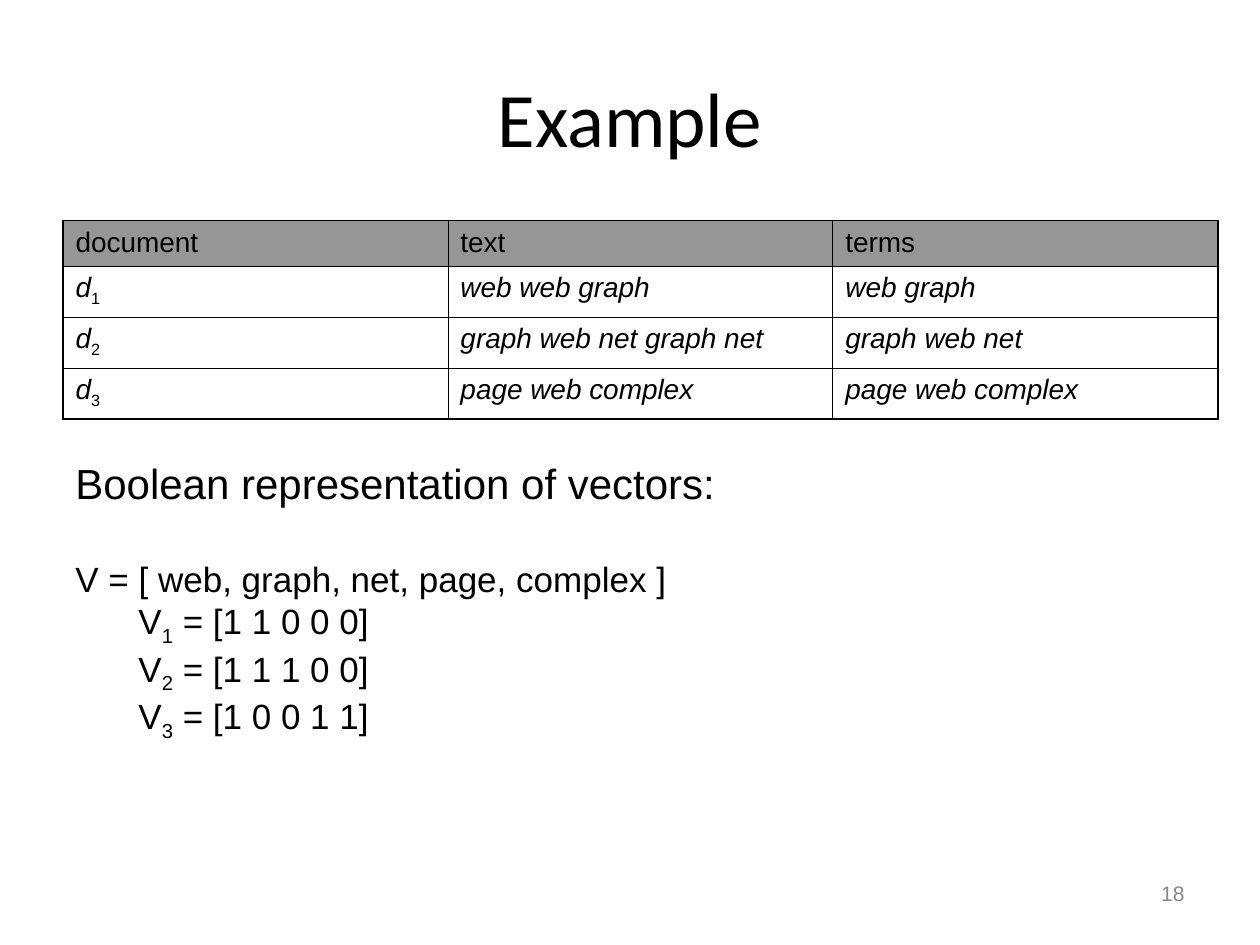
from dataclasses import dataclass

from lxml.etree import SubElement
from pptx import Presentation
from pptx.dml.color import RGBColor
from pptx.enum.text import MSO_ANCHOR as Anchor, MSO_AUTO_SIZE as AutoSize, PP_ALIGN as Align
from pptx.oxml.ns import qn
from pptx.util import Inches, Pt

BLACK = RGBColor(0x00, 0x00, 0x00)
HEADER_GRAY = RGBColor(0x96, 0x96, 0x96)
NUMBER_GRAY = RGBColor(0x89, 0x89, 0x89)

WIDTH, HEIGHT = Inches(10), Inches(7.5)
GRID_COLUMNS, GRID_ROWS = 40, 30
OUTER_LINE, INNER_LINE = Pt(1.08), Pt(0.45)
HEADER_HEIGHT, ROW_HEIGHT = Pt(26.3), Pt(29)


@dataclass(frozen=True)
class Box:
    column: float
    row: float
    columns: float
    rows: float

    def lengths(self) -> tuple[int, ...]:
        cell_width, cell_height = WIDTH / GRID_COLUMNS, HEIGHT / GRID_ROWS
        return (round(self.column * cell_width), round(self.row * cell_height),
                round(self.columns * cell_width), round(self.rows * cell_height))


@dataclass(frozen=True)
class Document:
    number: int
    text: str
    terms: str
    vector: str


TITLE_BOX = Box(2, 1.2, 36, 5)
TABLE_BOX = Box(2, 7, 36.66, 6.3)
VECTOR_BOX = Box(2, 14.34, 21.2, 9.48)
NUMBER_BOX = Box(28.68, 27.32, 9.32, 2.08)

HEADINGS = ("document", "text", "terms")
DOCUMENTS = (
    Document(1, "web web graph", "web graph", "[1 1 0 0 0]"),
    Document(2, "graph web net graph net", "graph web net", "[1 1 1 0 0]"),
    Document(3, "page web complex", "page web complex", "[1 0 0 1 1]"),
)


def write(paragraph, text: str, *, size: float, font: str = "Arial", color: RGBColor = BLACK,
          italic: bool = False, subscript: str = "", after: str = "", align=Align.LEFT,
          before: float = 0, indent: float = 0) -> None:
    paragraph.alignment = align
    paragraph.space_before = Pt(before)
    if indent:
        paragraph.level = 1
        properties = paragraph._p.get_or_add_pPr()
        properties.set("marL", str(Inches(indent)))
        properties.set("indent", "0")
    for part, lowered in ((text, False), (subscript, True), (after, False)):
        if not part:
            continue
        run = paragraph.add_run()
        run.text = part
        run.font.name = font
        run.font.size = Pt(size)
        run.font.color.rgb = color
        run.font.italic = italic and not lowered
        if lowered:
            run._r.get_or_add_rPr().set("baseline", "-25000")


def add_text_box(slide, box: Box, *, anchor=Anchor.TOP):
    frame = slide.shapes.add_textbox(*box.lengths()).text_frame
    frame.word_wrap = True
    frame.auto_size = AutoSize.NONE
    frame.vertical_anchor = anchor
    return frame


def set_borders(cell, outer_sides: dict[str, bool]) -> None:
    properties = cell._tc.get_or_add_tcPr()
    for side, outer in outer_sides.items():
        width = OUTER_LINE if outer else INNER_LINE
        line = SubElement(properties, qn(f"a:ln{side}"), w=str(width))
        fill = SubElement(line, qn("a:solidFill"))
        SubElement(fill, qn("a:srgbClr"), val=str(BLACK))


def add_document_table(slide) -> None:
    row_count, column_count = len(DOCUMENTS) + 1, len(HEADINGS)
    table = slide.shapes.add_table(row_count, column_count, *TABLE_BOX.lengths()).table
    table.first_row = table.horz_banding = False
    for index, row in enumerate(table.rows):
        row.height = ROW_HEIGHT if index else HEADER_HEIGHT
    for row in range(row_count):
        document = DOCUMENTS[row - 1] if row else None
        texts = ("d", document.text, document.terms) if document else HEADINGS
        for column, text in enumerate(texts):
            cell = table.cell(row, column)
            set_borders(cell, {"L": column == 0, "R": column == column_count - 1,
                               "T": row == 0, "B": row == row_count - 1})
            if document:
                cell.fill.background()
            else:
                cell.fill.solid()
                cell.fill.fore_color.rgb = HEADER_GRAY
            subscript = str(document.number) if document and column == 0 else ""
            write(cell.text_frame.paragraphs[0], text, size=16,
                  italic=document is not None, subscript=subscript)


def add_vectors(slide) -> None:
    frame = add_text_box(slide, VECTOR_BOX)
    write(frame.paragraphs[0], "Boolean representation of vectors:", size=24)
    write(frame.add_paragraph(), "V = [ web, graph, net, page, complex ]", size=20, before=28)
    for document in DOCUMENTS:
        write(frame.add_paragraph(), "V", size=20, subscript=str(document.number),
              after=f" = {document.vector}", indent=0.5)


def main() -> None:
    presentation = Presentation()
    presentation.slide_width, presentation.slide_height = WIDTH, HEIGHT
    slide = presentation.slides.add_slide(presentation.slide_layouts[6])
    title = add_text_box(slide, TITLE_BOX, anchor=Anchor.MIDDLE)
    write(title.paragraphs[0], "Example", size=44, font="Calibri", align=Align.CENTER)
    add_document_table(slide)
    number = add_text_box(slide, NUMBER_BOX, anchor=Anchor.MIDDLE)
    write(number.paragraphs[0], "18", size=12, color=NUMBER_GRAY, align=Align.RIGHT)
    add_vectors(slide)
    presentation.save("out.pptx")


if __name__ == "__main__":
    main()
